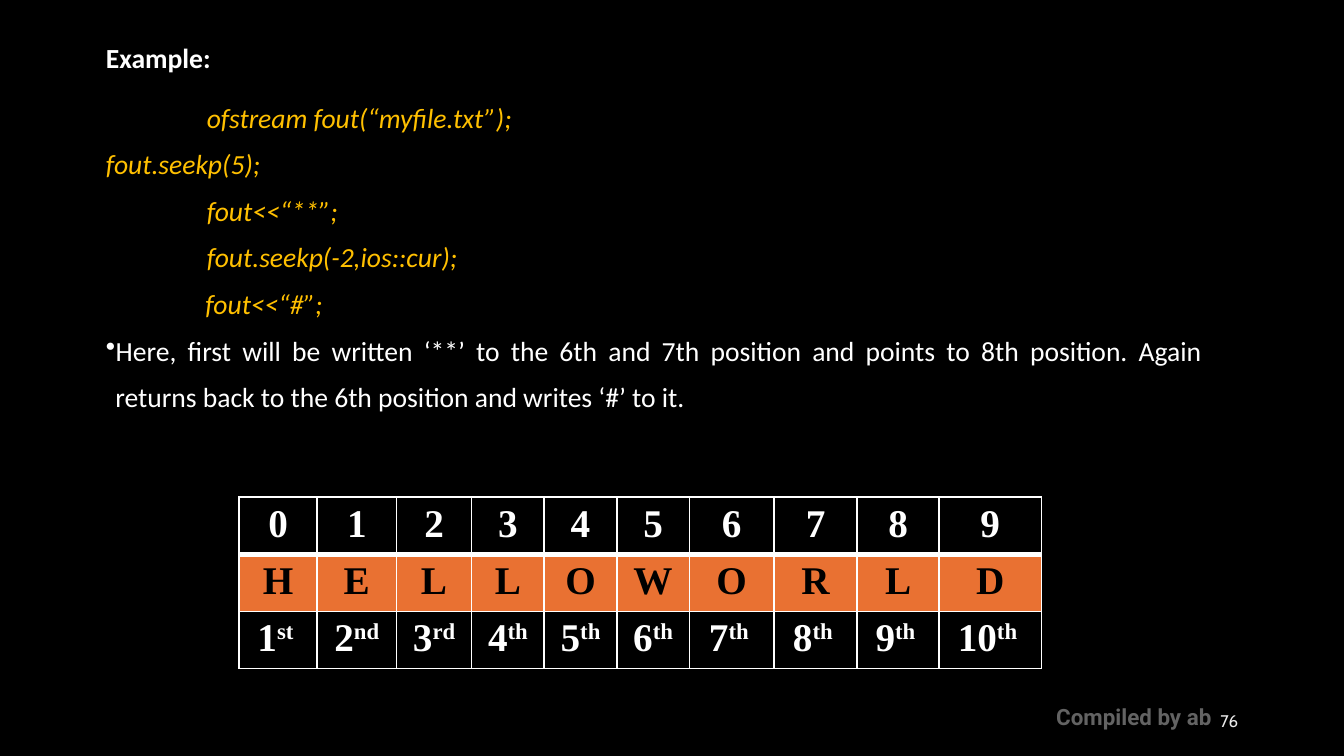
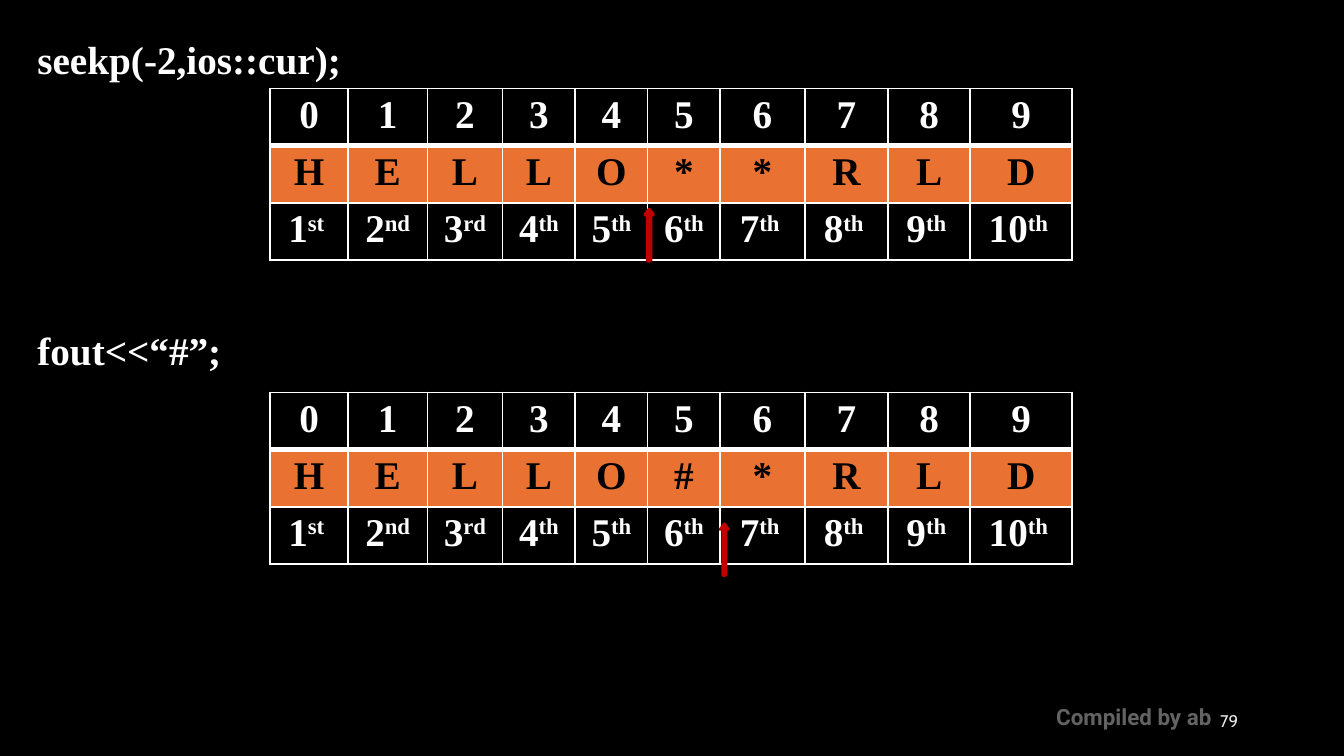
from dataclasses import dataclass

import lxml.etree
import pptx
import pptx.dml.color
import pptx.enum.text
import pptx.oxml.ns
import pptx.presentation
import pptx.slide
import pptx.table
import pptx.text.text
import pptx.util

Inches = pptx.util.Inches
Pt = pptx.util.Pt
RGBColor = pptx.dml.color.RGBColor
Align = pptx.enum.text.PP_ALIGN
Anchor = pptx.enum.text.MSO_ANCHOR
qn = pptx.oxml.ns.qn

BLACK = RGBColor(0x00, 0x00, 0x00)
WHITE = RGBColor(0xFF, 0xFF, 0xFF)
PALE_GRAY = RGBColor(0xEA, 0xEA, 0xEA)
AMBER = RGBColor(0xFF, 0xC0, 0x00)
ORANGE = RGBColor(0xE9, 0x71, 0x32)
BLUE = RGBColor(0x49, 0x7D, 0xBA)
RED = RGBColor(0xC0, 0x00, 0x00)

SLIDE_WIDTH = Inches(10)
SLIDE_HEIGHT = Inches(10 * 9 / 16)

PLAIN_TABLE_STYLE = "{2D5ABB26-0587-4C30-8999-92F81FD0307C}"
COLUMN_WIDTHS = (0.58, 0.59, 0.56, 0.54, 0.54, 0.54, 0.63, 0.62, 0.61, 0.76)
ROW_HEIGHT = 0.42
ORDINAL_SUFFIXES = ("st ", "nd", "rd", "th", "th", "th", "th ", "th ", "th ", "th ")
ARROW_OUTLINE = (
    (0.03, 0), (0.06, 0.04), (0.04, 0.02), (0.04, 0.38),
    (0.02, 0.38), (0.02, 0.02), (0, 0.04),
)


@dataclass(frozen=True)
class Font:
    name: str
    size: float
    color: RGBColor
    bold: bool = False
    italic: bool = False


@dataclass(frozen=True)
class Box:
    left: float
    top: float
    width: float
    height: float


@dataclass(frozen=True)
class BodyLine:
    text: str
    font: Font
    space_before: float = 0.1
    indent: float = 0.75
    left_margin: float = 0
    right_margin: float = 0
    bullet: bool = False


@dataclass(frozen=True)
class FileState:
    """One call, the file contents after it and the put pointer."""
    call: str
    call_top: float
    contents: str
    table_top: float
    arrow_left: float
    arrow_top: float
    arrow_weight: float


SERIF = Font("Times New Roman", 21, WHITE, bold=True)
SERIF_DARK = Font("Times New Roman", 21, BLACK, bold=True)
HEADING = Font("Calibri", 14.8, WHITE, bold=True)
CODE = Font("Calibri", 14.8, AMBER, italic=True)
PROSE = Font("Calibri", 14.8, WHITE)
CREDIT = Font("Roboto", 12, WHITE, bold=True)
NUMBER = Font("Cabin", 9, PALE_GRAY)

EXAMPLE_LINES = (
    BodyLine("Example:", HEADING, 2, 0),
    BodyLine(
        "ofstream fout(“myfile.txt”); fout.seekp(5);", CODE, 7, right_margin=4.5
    ),
    BodyLine("fout<<“**”;", CODE),
    BodyLine("fout.seekp(-2,ios::cur);", CODE),
    BodyLine("fout<<“#”;", CODE, indent=0.74),
    BodyLine(
        "Here, first will be written ‘**’ to the 6th and 7th position and points "
        "to 8th position. Again returns back to the 6th position and writes ‘#’ to it.",
        PROSE, 0.2, -0.19, 0.07, 0.27, bullet=True,
    ),
)
FILE_STATES = (
    FileState("seekp(-2,ios::cur);", 0.21, "HELLO**RLD", 0.66, 4.8, 1.56, 2),
    FileState("fout<<“#”;", 2.38, "HELLO#*RLD", 2.92, 5.36, 3.9, 1.75),
)


def format_paragraph(paragraph: pptx.text.text._Paragraph, font: Font) -> None:
    for run in paragraph.runs:
        run.font.name = font.name
        run.font.size = Pt(font.size)
        run.font.color.rgb = font.color
        run.font.bold = font.bold
        run.font.italic = font.italic


def add_text_frame(slide: pptx.slide.Slide, box: Box) -> pptx.text.text.TextFrame:
    shape = slide.shapes.add_textbox(
        Inches(box.left), Inches(box.top), Inches(box.width), Inches(box.height)
    )
    shape.text_frame.word_wrap = True
    return shape.text_frame


def add_label(
    slide: pptx.slide.Slide, box: Box, text: str, font: Font
) -> pptx.text.text.TextFrame:
    text_frame = add_text_frame(slide, box)
    text_frame.text = text
    format_paragraph(text_frame.paragraphs[0], font)
    return text_frame


def add_body(slide: pptx.slide.Slide, box: Box, lines: tuple[BodyLine, ...]) -> None:
    text_frame = add_text_frame(slide, box)
    for index, line in enumerate(lines):
        paragraph = text_frame.add_paragraph() if index else text_frame.paragraphs[0]
        paragraph.text = line.text
        paragraph.line_spacing = 1.4
        paragraph.space_before = Pt(line.space_before)
        format_paragraph(paragraph, line.font)
        properties = paragraph._p.get_or_add_pPr()
        properties.set("marL", str(Inches(line.left_margin)))
        properties.set("marR", str(Inches(line.right_margin)))
        properties.set("indent", str(Inches(line.indent)))
        if line.bullet:
            paragraph.alignment = Align.JUSTIFY
            lxml.etree.SubElement(properties, qn("a:buChar")).set("char", "•")


def add_borders(cell: pptx.table._Cell, top: float, bottom: float) -> None:
    properties = cell._tc.get_or_add_tcPr()
    for side, weight in (("L", 1), ("R", 1), ("T", top), ("B", bottom)):
        line = lxml.etree.SubElement(properties, qn(f"a:ln{side}"), w=str(Pt(weight)))
        fill = lxml.etree.SubElement(line, qn("a:solidFill"))
        lxml.etree.SubElement(fill, qn("a:srgbClr"), val=str(WHITE))


def add_file_table(
    slide: pptx.slide.Slide, left: float, top: float, contents: str
) -> None:
    """Draw the offsets, the characters of the file and their positions."""
    rows = (
        [(str(offset), "") for offset in range(len(contents))],
        [(character, "") for character in contents],
        [(str(place), suffix) for place, suffix in enumerate(ORDINAL_SUFFIXES, 1)],
    )
    frame = slide.shapes.add_table(
        len(rows), len(COLUMN_WIDTHS), Inches(left), Inches(top),
        Inches(sum(COLUMN_WIDTHS)), Inches(len(rows) * ROW_HEIGHT),
    )
    table = frame.table
    table.first_row = table.horz_banding = False
    table._tbl.tblPr.find(qn("a:tableStyleId")).text = PLAIN_TABLE_STYLE
    for column, width in zip(table.columns, COLUMN_WIDTHS):
        column.width = Inches(width)
    for row_index, entries in enumerate(rows):
        table.rows[row_index].height = Inches(ROW_HEIGHT)
        is_contents = row_index == 1
        for column_index, (text, suffix) in enumerate(entries):
            cell = table.cell(row_index, column_index)
            cell.margin_left = cell.margin_right = Pt(5.4)
            cell.margin_top = cell.margin_bottom = Pt(2.7)
            add_borders(cell, 3 if is_contents else 1, 1 if row_index else 3)
            if is_contents:
                cell.fill.solid()
                cell.fill.fore_color.rgb = ORANGE
            else:
                cell.fill.background()
            cell.text_frame.text = text
            paragraph = cell.text_frame.paragraphs[0]
            paragraph.alignment = Align.CENTER
            if suffix:
                run = paragraph.add_run()
                run.text = suffix
                run.font._element.set("baseline", "30000")
            format_paragraph(paragraph, SERIF_DARK if is_contents else SERIF)


def add_pointer_arrow(
    slide: pptx.slide.Slide, left: float, top: float, weight: float
) -> None:
    points = [(Inches(left + x), Inches(top + y)) for x, y in ARROW_OUTLINE]
    builder = slide.shapes.build_freeform(*points[0])
    builder.add_line_segments(points[1:], close=True)
    arrow = builder.convert_to_shape()
    arrow.shadow.inherit = False
    arrow.fill.solid()
    arrow.fill.fore_color.rgb = BLUE
    arrow.line.color.rgb = RED
    arrow.line.width = Pt(weight)


def add_slide(
    presentation: pptx.presentation.Presentation, number: int
) -> pptx.slide.Slide:
    """Add a blank slide with the shared background and footer."""
    slide = presentation.slides.add_slide(presentation.slide_layouts[6])
    slide.background.fill.solid()
    slide.background.fill.fore_color.rgb = BLACK
    credit = add_label(slide, Box(7.76, 5.18, 1.42, 0.3), "Compiled by ab", CREDIT)
    color = credit.paragraphs[0].runs[0].font._element.find(".//" + qn("a:srgbClr"))
    lxml.etree.SubElement(color, qn("a:alpha"), val="38000")
    page = add_label(slide, Box(7.06, 5.21, 2.25, 0.3), str(number), NUMBER)
    page.vertical_anchor = Anchor.MIDDLE
    page.paragraphs[0].alignment = Align.RIGHT
    return slide


def main() -> None:
    presentation = pptx.Presentation()
    presentation.slide_width = SLIDE_WIDTH
    presentation.slide_height = SLIDE_HEIGHT

    example_slide = add_slide(presentation, 76)
    add_body(example_slide, Box(0.69, 0.16, 8.62, 3.1), EXAMPLE_LINES)
    add_file_table(example_slide, 1.78, 3.7, "HELLOWORLD")

    steps_slide = add_slide(presentation, 79)
    for state in FILE_STATES:
        add_file_table(steps_slide, 2.01, state.table_top, state.contents)
        add_label(steps_slide, Box(0.18, state.call_top, 2.47, 0.45), state.call, SERIF)
        add_pointer_arrow(
            steps_slide, state.arrow_left, state.arrow_top, state.arrow_weight
        )

    presentation.save("out.pptx")


if __name__ == "__main__":
    main()
